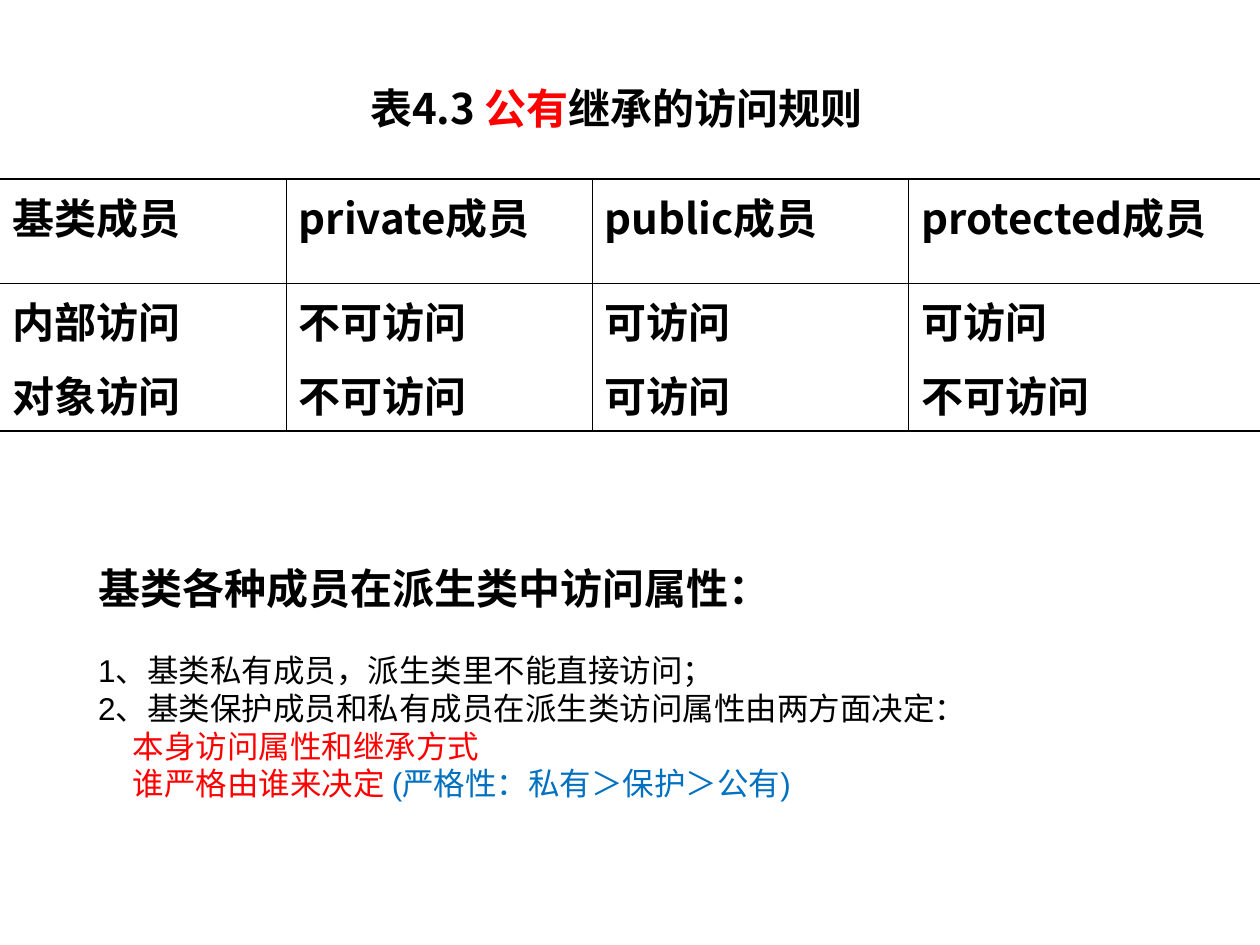
import pptx
import pptx.dml.color
import pptx.enum.text
import pptx.oxml
import pptx.oxml.ns
import pptx.util
from pptx.util import Cm

BLACK = pptx.dml.color.RGBColor(0, 0, 0)
RED = pptx.dml.color.RGBColor(255, 0, 0)
BLUE = pptx.dml.color.RGBColor(0, 112, 192)
SANS = "Noto Sans CJK SC"
THIN, THICK = 0.45, 1.08
ROWS = [
    ["基类成员", "private成员", "public成员", "protected成员"],
    ["内部访问", "不可访问", "可访问", "可访问"],
    ["对象访问", "不可访问", "可访问", "不可访问"],
]
COLUMN_WIDTHS = [5.77, 6.17, 6.38, 7.08]
ROW_HEIGHTS = [2.11, 1.48, 1.48]


def add_element(parent, tag, **attributes):
    """Append a DrawingML element and return it."""
    element = pptx.oxml.parse_xml(f"<a:{tag} {pptx.oxml.ns.nsdecls('a')}/>")
    for name, value in attributes.items():
        element.set(name, value)
    parent.append(element)
    return element


def add_text(paragraph, text, size=18, bold=False, color=BLACK, font="Arial"):
    """Add a formatted run with a matching East Asian font."""
    run = paragraph.add_run()
    run.text = text
    run.font.size = pptx.util.Pt(size)
    run.font.bold = bold
    run.font.color.rgb = color
    run.font.name = font
    add_element(run.font._element, "ea", typeface=SANS)


def add_caption(slide):
    """Fill the body placeholder with the centred table caption."""
    caption = slide.placeholders[1]
    caption.left, caption.top = Cm(0.43), Cm(0.64)
    caption.width, caption.height = Cm(24), Cm(17.6)
    frame = caption.text_frame
    frame.auto_size = pptx.enum.text.MSO_AUTO_SIZE.NONE
    frame.vertical_anchor = pptx.enum.text.MSO_ANCHOR.TOP
    frame.margin_top = Cm(1.02)
    paragraph = frame.paragraphs[0]
    properties = paragraph._p.get_or_add_pPr()
    properties.set("marL", "0")
    properties.set("indent", "0")
    add_element(properties, "buNone")
    paragraph.alignment = pptx.enum.text.PP_ALIGN.CENTER
    paragraph.space_before = pptx.util.Pt(0)
    add_text(paragraph, "表4.3 ", size=24, bold=True, font=SANS)
    add_text(paragraph, "公有", size=24, bold=True, color=RED, font="Times New Roman")
    add_text(paragraph, "继承的", size=24, bold=True, font="Times New Roman")
    add_text(paragraph, "访问规则", size=24, bold=True, font=SANS)


def set_borders(cell, left, right, top, bottom):
    """Draw the cell borders with the given widths, zero meaning none."""
    properties = cell._tc.get_or_add_tcPr()
    widths = {"lnL": left, "lnR": right, "lnT": top, "lnB": bottom}
    for tag, width in widths.items():
        line = add_element(properties, tag, w=str(int(pptx.util.Pt(width))))
        if width:
            add_element(add_element(line, "solidFill"), "srgbClr", val=str(BLACK))
        else:
            add_element(line, "noFill")


def add_rules_table(slide):
    """Add the table of access rules across the slide."""
    frame = slide.shapes.add_table(
        len(ROWS), len(COLUMN_WIDTHS), Cm(0), Cm(3.61),
        Cm(sum(COLUMN_WIDTHS)), Cm(sum(ROW_HEIGHTS)))
    table = frame.table
    table.first_row = table.horz_banding = False
    for column, width in zip(table.columns, COLUMN_WIDTHS):
        column.width = Cm(width)
    horizontal = [THICK, THIN, 0, THICK]
    vertical = [0, THIN, THIN, THIN, 0]
    for row, texts in enumerate(ROWS):
        table.rows[row].height = Cm(ROW_HEIGHTS[row])
        for column, text in enumerate(texts):
            cell = table.cell(row, column)
            set_borders(cell, *vertical[column:column + 2], *horizontal[row:row + 2])
            cell.fill.background()
            font = "Arial" if row and not column else SANS
            add_text(cell.text_frame.paragraphs[0], text, size=24, bold=True, font=font)


def add_line(frame, spacing, indent=0):
    """Return the next paragraph with exact line spacing and left indent."""
    paragraph = frame.paragraphs[0]
    if paragraph.runs:
        paragraph = frame.add_paragraph()
    paragraph.line_spacing = pptx.util.Pt(spacing)
    paragraph._p.get_or_add_pPr().set("marL", str(int(Cm(indent))))
    return paragraph


def add_explanation(slide):
    """Add the heading and notes on access in derived classes."""
    box = slide.shapes.add_textbox(Cm(1.73), Cm(11.13), Cm(21.39), Cm(5.08))
    frame = box.text_frame
    frame.word_wrap = True
    frame.auto_size = pptx.enum.text.MSO_AUTO_SIZE.SHAPE_TO_FIT_TEXT
    frame.margin_top = Cm(0.22)
    heading = add_line(frame, 28.8)
    heading.space_after = pptx.util.Pt(21.5)
    add_text(heading, "基类各种成员在派生类中访问属性：", size=24, bold=True)
    add_text(add_line(frame, 21.6), "1、基类私有成员，派生类里不能直接访问；")
    add_text(add_line(frame, 21.6), "2、基类保护成员和私有成员在派生类访问属性由两方面决定：")
    add_text(add_line(frame, 21.6, indent=0.7), "本身访问属性和继承方式", color=RED)
    conclusion = add_line(frame, 21.6, indent=0.7)
    add_text(conclusion, "谁严格由谁来决定 ", color=RED)
    add_text(conclusion, "(严格性：私有＞保护＞公有)", color=BLUE)


def main():
    """Build and save the slide."""
    presentation = pptx.Presentation()
    presentation.slide_width, presentation.slide_height = Cm(25.4), Cm(19.05)
    slide = presentation.slides.add_slide(presentation.slide_layouts[1])
    title = slide.shapes.title._element
    title.getparent().remove(title)
    add_caption(slide)
    add_rules_table(slide)
    add_explanation(slide)
    presentation.save("out.pptx")


if __name__ == "__main__":
    main()
